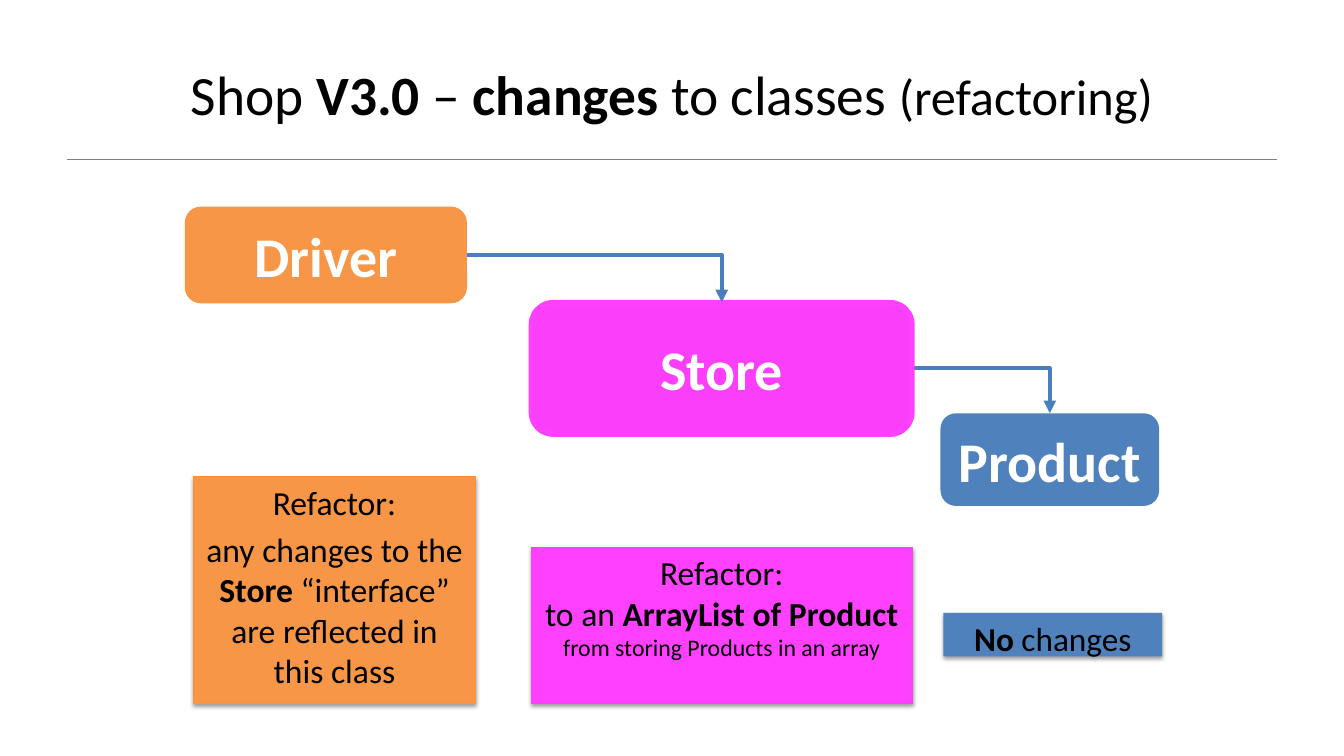
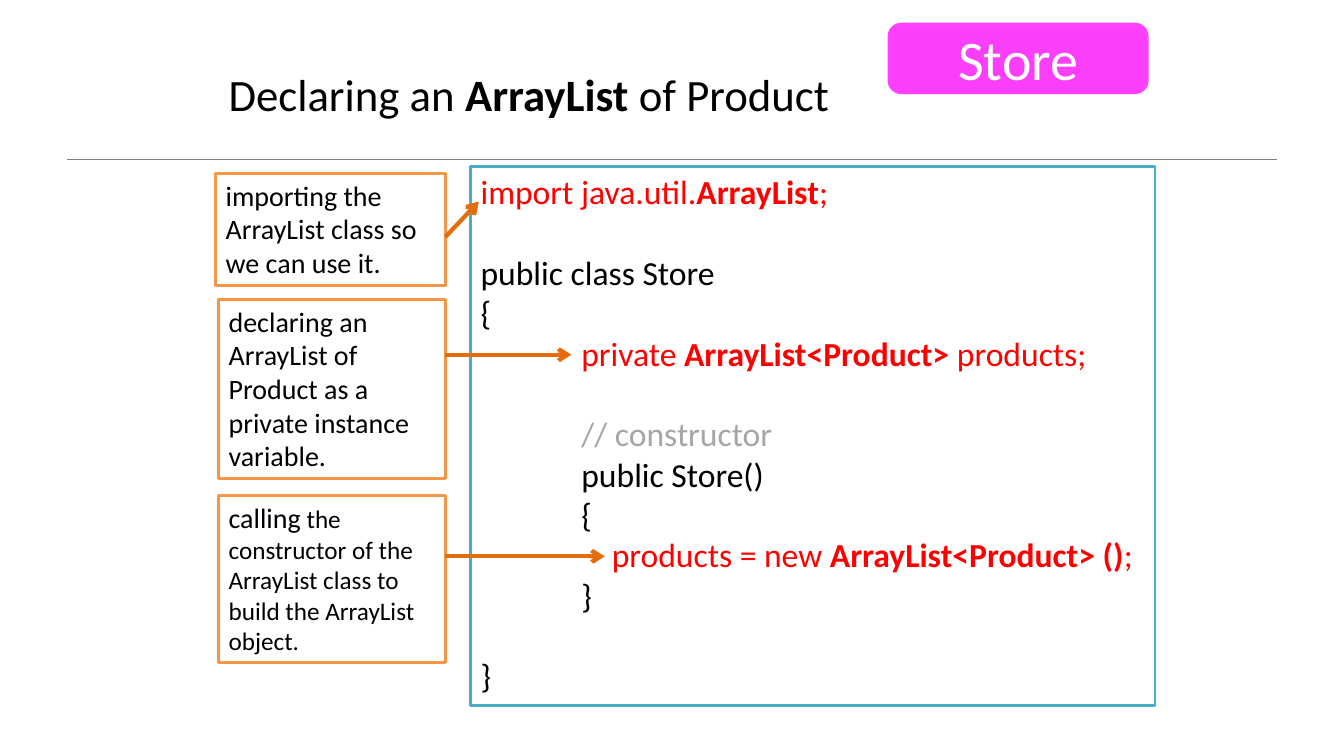
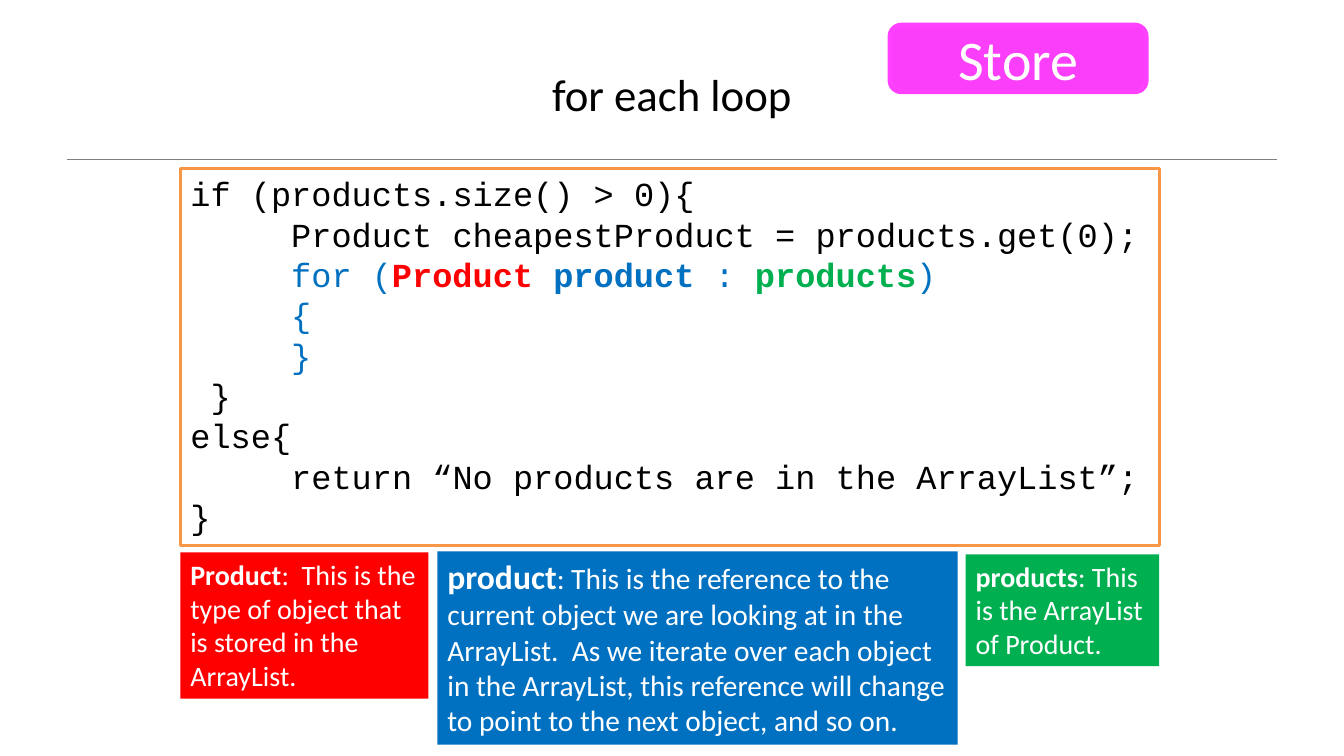
from dataclasses import dataclass
from typing import NamedTuple, Optional

from lxml.etree import SubElement
from pptx import Presentation
from pptx.dml.color import RGBColor
from pptx.enum.shapes import MSO_CONNECTOR, MSO_SHAPE
from pptx.enum.text import MSO_ANCHOR, PP_ALIGN
from pptx.oxml.ns import qn
from pptx.util import Pt

BLACK, WHITE, GREY = "000000", "FFFFFF", "A6A6A6"
ORANGE, DARK_ORANGE = "F79646", "E46C0A"
MAGENTA, BRIGHT_MAGENTA = "FA3EF9", "FF40FF"
STEEL, ARROW_BLUE, TEAL = "4F81BD", "4B7EBC", "4BACC6"
RED, BLUE, GREEN = "FF0000", "0070C0", "00B050"
BODY, MONO = "Calibri", "Courier New"
CODE_LINE = 28.8
CODE_TAB = 72
NOTE_BOTTOM = 502.6


class Span(NamedTuple):
    """A stretch of text; unset values come from its box."""
    text: str
    bold: bool = False
    color: Optional[str] = None
    size: Optional[float] = None


class Para(NamedTuple):
    """A paragraph and the space before it."""
    spans: list[Span]
    before: float = 0


class Area(NamedTuple):
    """A rectangle on the page, in points."""
    left: float
    top: float
    width: float
    height: float


@dataclass
class Box:
    """A shape with text."""
    area: Area
    paras: list[Para]
    size: float
    color: str = BLACK
    font: str = BODY
    fill: Optional[str] = None
    line: Optional[str] = None
    line_width: float = 2
    rounded: bool = False
    centred: bool = False
    middle: bool = False
    shadow: bool = False


class Arrow(NamedTuple):
    """A straight arrow between two points."""
    start: tuple[float, float]
    end: tuple[float, float]


def rgb(value: str) -> RGBColor:
    """Turn a hex string into a colour."""
    return RGBColor.from_string(value)


def plain(text: str, color: Optional[str] = None, before: float = 0) -> Para:
    """Make a paragraph of one regular span."""
    return Para([Span(text, color=color)], before)


def add_code_tab(paragraph) -> None:
    """Set the tab stop that indents code."""
    tabs = SubElement(paragraph._p.get_or_add_pPr(), qn("a:tabLst"))
    SubElement(tabs, qn("a:tab"), pos=str(Pt(CODE_TAB)), algn="l")


def write(frame, box: Box) -> None:
    """Fill a text frame with the paragraphs of a box."""
    frame.word_wrap = True
    frame.vertical_anchor = MSO_ANCHOR.MIDDLE if box.middle else MSO_ANCHOR.TOP
    for index, para in enumerate(box.paras):
        paragraph = frame.add_paragraph() if index else frame.paragraphs[0]
        paragraph.alignment = PP_ALIGN.CENTER if box.centred else PP_ALIGN.LEFT
        if para.before:
            paragraph.space_before = Pt(para.before)
        if para.spans[0].text.startswith("\t"):
            add_code_tab(paragraph)
        for span in para.spans:
            run = paragraph.add_run()
            run.text = span.text
            run.font.name = box.font
            run.font.size = Pt(span.size or box.size)
            run.font.bold = span.bold
            run.font.color.rgb = rgb(span.color or box.color)


def add_soft_shadow(shape) -> None:
    """Put a soft shadow below a shape."""
    effects = shape._element.spPr.find(qn("a:effectLst"))
    shadow = SubElement(effects, qn("a:outerShdw"), blurRad=str(Pt(3.1)),
                        dist=str(Pt(1.6)), dir="5400000", rotWithShape="0")
    color = SubElement(shadow, qn("a:srgbClr"), val=BLACK)
    SubElement(color, qn("a:alpha"), val="38000")


def draw_box(page, box: Box):
    """Draw a box and return its shape."""
    kind = MSO_SHAPE.ROUNDED_RECTANGLE if box.rounded else MSO_SHAPE.RECTANGLE
    shape = page.shapes.add_shape(kind, *(Pt(value) for value in box.area))
    shape.shadow.inherit = False
    if box.fill:
        shape.fill.solid()
        shape.fill.fore_color.rgb = rgb(box.fill)
    else:
        shape.fill.background()
    if box.line:
        shape.line.color.rgb = rgb(box.line)
        shape.line.width = Pt(box.line_width)
    else:
        shape.line.fill.background()
    if box.shadow:
        add_soft_shadow(shape)
    write(shape.text_frame, box)
    return shape


def draw_line(page, start: tuple[float, float], end: tuple[float, float], color: str,
              width: float, head: str = "none", kind=MSO_CONNECTOR.STRAIGHT):
    """Draw a connector with an optional arrowhead."""
    connector = page.shapes.add_connector(kind, *(Pt(value) for value in (*start, *end)))
    connector.line.color.rgb = rgb(color)
    connector.line.width = Pt(width)
    properties = connector._element.spPr
    SubElement(properties.find(qn("a:ln")), qn("a:tailEnd"), type=head)
    SubElement(properties, qn("a:effectLst"))
    return connector


def draw_elbow(page, source, target):
    """Join a right side to a top side with one bend."""
    elbow = draw_line(page, (0, 0), (1, 1), ARROW_BLUE, 3, "triangle", MSO_CONNECTOR.ELBOW)
    elbow.begin_connect(source, 3)
    elbow.end_connect(target, 0)
    elbow._element.spPr.find(qn("a:prstGeom")).set("prst", "bentConnector2")
    return elbow


def add_page(deck, title: list[Span], left: float, width: float, size: float = 32,
             centred: bool = True):
    """Add a page with its title and rule."""
    page = deck.slides.add_slide(deck.slide_layouts[6])
    draw_line(page, (48, 113.8), (912, 113.8), "808080", 0.5)
    area = Area(left, 21.6, width, 90)
    frame = page.shapes.add_textbox(*(Pt(value) for value in area)).text_frame
    write(frame, Box(area, [Para(title)], size, centred=centred, middle=True))
    return page


def draw_class(page, name: str, area: Area, fill: str, line: Optional[str] = None,
               bold: bool = True):
    """Draw a rounded box that names a class."""
    return draw_box(page, Box(area, [Para([Span(name, bold)])], 40, WHITE, fill=fill, line=line,
                              line_width=3.5, rounded=True, centred=True, middle=True))


def draw_store_badge(page) -> None:
    """Draw the class badge in the top corner."""
    draw_class(page, "Store", Area(635.8, 18, 182.9, 47.5), MAGENTA, BRIGHT_MAGENTA, False)


def build_refactoring(deck) -> None:
    """Build the page on changes to classes."""
    title = [Span("Shop "), Span("V3.0 ", True), Span("– "), Span("changes", True),
             Span(" to classes "), Span("(refactoring)", size=36)]
    page = add_page(deck, title, 120, 720, 39.6)
    driver = draw_class(page, "Driver", Area(132, 147.6, 201.6, 69.1), ORANGE)
    store = draw_class(page, "Store", Area(379.4, 216, 272.2, 94.3), MAGENTA, BRIGHT_MAGENTA)
    product = draw_class(page, "Product", Area(671.8, 295.2, 156.2, 66.2), STEEL)
    draw_elbow(page, driver, store)
    product_elbow = draw_elbow(page, store, product)
    store._element.addprevious(product_elbow._element)

    driver_note = [
        plain("Refactor:"),
        Para([Span("any changes to the "), Span("Store", True),
              Span(" “interface” are reflected in this class")], 4.8),
    ]
    store_note = [
        plain("Refactor:"),
        Para([Span("to an "), Span("ArrayList of Product", True)]),
        Para([Span("from storing Products in an array", size=17)]),
    ]
    product_note = [Para([Span("No", True), Span(" changes")])]
    notes = [
        (Area(138.2, NOTE_BOTTOM - 162, 201.6, 162), driver_note, 24, ORANGE, "F69240"),
        (Area(379.4, NOTE_BOTTOM - 111.6, 272.2, 111.6), store_note, 24, BRIGHT_MAGENTA, MAGENTA),
        (Area(673.9, 437.8, 156.2, 31), product_note, 23.8, STEEL, None),
    ]
    for area, paras, size, fill, line in notes:
        draw_box(page, Box(area, paras, size, fill=fill, line=line, line_width=0.75,
                           centred=True, shadow=True))


def build_declaration(deck) -> None:
    """Build the page on declaring the list."""
    title = [Span("Declaring an "), Span("ArrayList", True), Span(" of Product")]
    page = add_page(deck, title, 156.2, 626.4, centred=False)
    code = [
        Para([Span("import java.util.", color=RED), Span("ArrayList", True, RED),
              Span(";", color=RED)]),
        plain("public class Store", before=CODE_LINE),
        plain("{"),
        Para([Span("\tprivate ", color=RED), Span("ArrayList<Product> ", True, RED),
              Span("products;", color=RED)]),
        plain("\t// constructor", GREY, CODE_LINE),
        plain("\tpublic Store()"),
        plain("\t{"),
        Para([Span("\t    products = new ", color=RED), Span("ArrayList<Product> ()", True, RED),
              Span(";", color=RED)]),
        plain("\t}"),
        plain("}", before=CODE_LINE),
    ]
    draw_box(page, Box(Area(336.2, 118.8, 488.9, 385.2), code, 24, fill=WHITE, line=TEAL))
    callouts = [
        (Area(154.1, 123.8, 164.2, 79.9),
         [Span("importing the ArrayList class so we can use it.")]),
        (Area(156.2, 213.8, 162, 128.2),
         [Span("declaring an ArrayList of Product as a private instance variable.")]),
        (Area(156.2, 354.2, 162, 118.8),
         [Span("calling"), Span(" the constructor of the ArrayList class to build the "
                                "ArrayList object.", size=18)]),
    ]
    for area, spans in callouts:
        draw_box(page, Box(area, [Para(spans)], 20, fill=WHITE, line=ORANGE))
    arrows = [
        Arrow((318.2, 169.2), (342, 144)),
        Arrow((318.2, 253.4), (408.2, 253.4)),
        Arrow((318.2, 397.4), (432, 397.4)),
    ]
    for arrow in arrows:
        draw_line(page, arrow.start, arrow.end, DARK_ORANGE, 3, "arrow")
    draw_store_badge(page)


def build_loop(deck) -> None:
    """Build the page on the for each loop."""
    page = add_page(deck, [Span("for each loop")], 48, 864)
    code = [
        plain("if (products.size() > 0){"),
        plain("\tProduct cheapestProduct = products.get(0);"),
        Para([Span("\tfor (", color=BLUE), Span("Product ", True, RED),
              Span("product", True, BLUE), Span(" : ", color=BLUE),
              Span("products", True, GREEN), Span(")", color=BLUE)]),
        plain("\t{", BLUE),
        plain("\t}", BLUE),
        plain(" }"),
        plain("else{"),
        plain("\treturn “No products are in the ArrayList”;"),
        plain("}"),
    ]
    draw_box(page, Box(Area(128.9, 120.2, 699.1, 269.3), code, 24, font=MONO,
                       fill=WHITE, line=ORANGE))
    terms = [
        (Area(128.9, 394.6, 177.1, 104.4), RED, 20, Span("Product", True),
         ":  This is the type of object that is stored in the ArrayList."),
        (Area(312.5, 393.8, 371.5, 138.2), BLUE, 21, Span("product", True, size=24),
         ": This is the reference to the current object we are looking at in the ArrayList.  "
         "As we iterate over each object in the ArrayList, this reference will change to point "
         "to the next object, and so on."),
        (Area(689.8, 396, 138.2, 79.9), GREEN, 20, Span("products", True),
         ": This is the ArrayList of Product."),
    ]
    for area, fill, size, term, meaning in terms:
        draw_box(page, Box(area, [Para([term, Span(meaning)])], size, WHITE, fill=fill))
    draw_store_badge(page)


def main() -> None:
    """Build and save the deck."""
    deck = Presentation()
    deck.slide_width, deck.slide_height = Pt(960), Pt(540)
    build_refactoring(deck)
    build_declaration(deck)
    build_loop(deck)
    deck.save("out.pptx")


if __name__ == "__main__":
    main()
